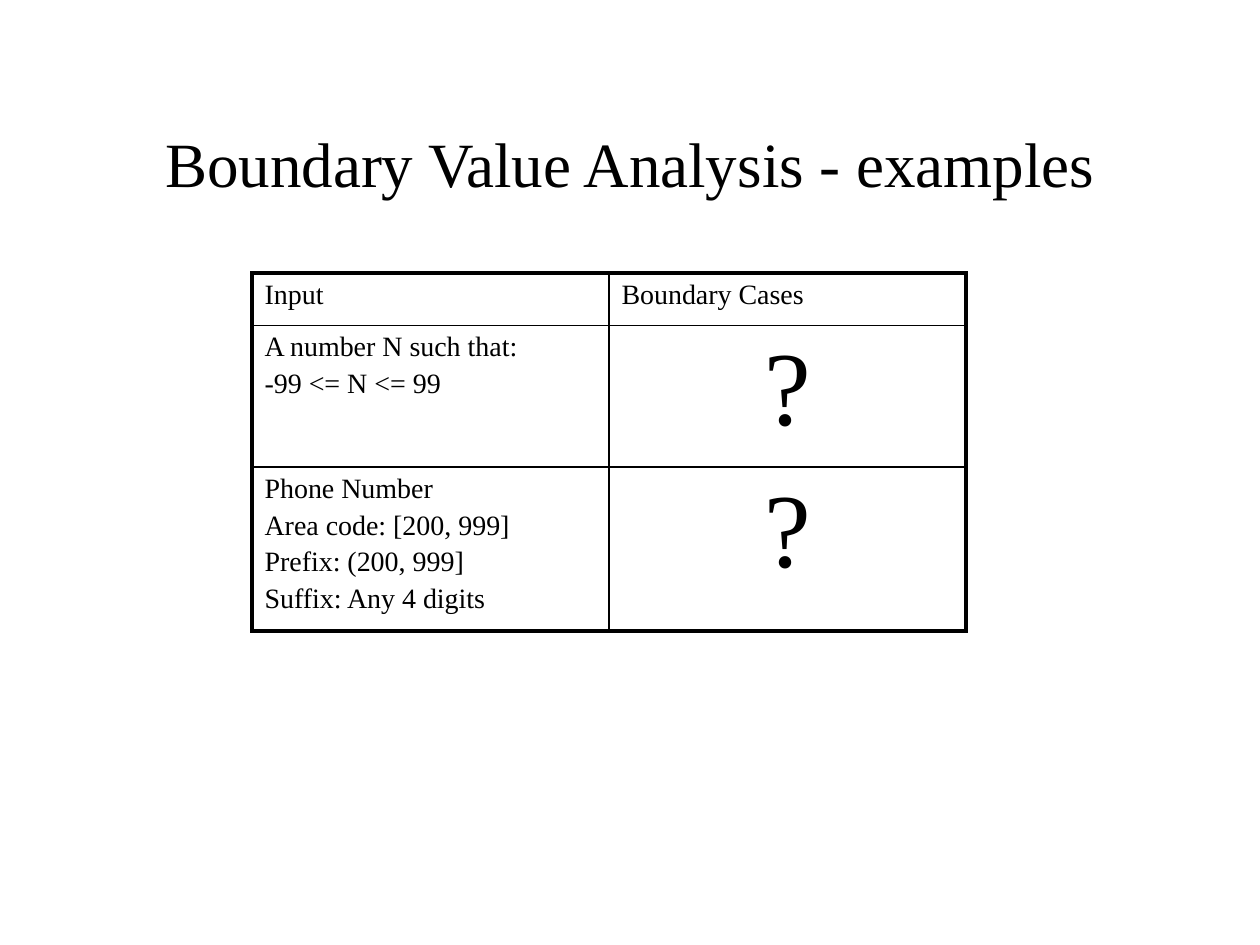
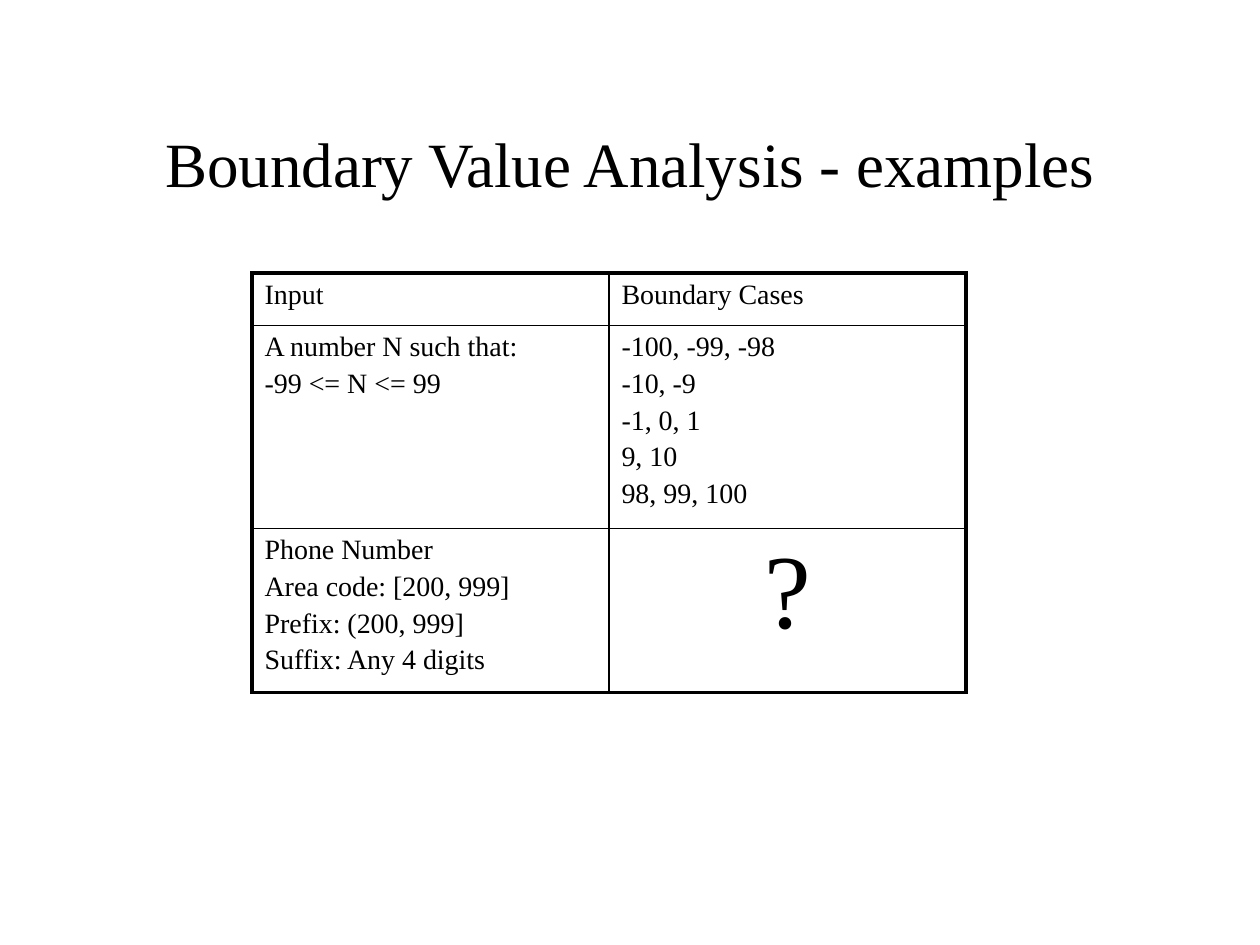
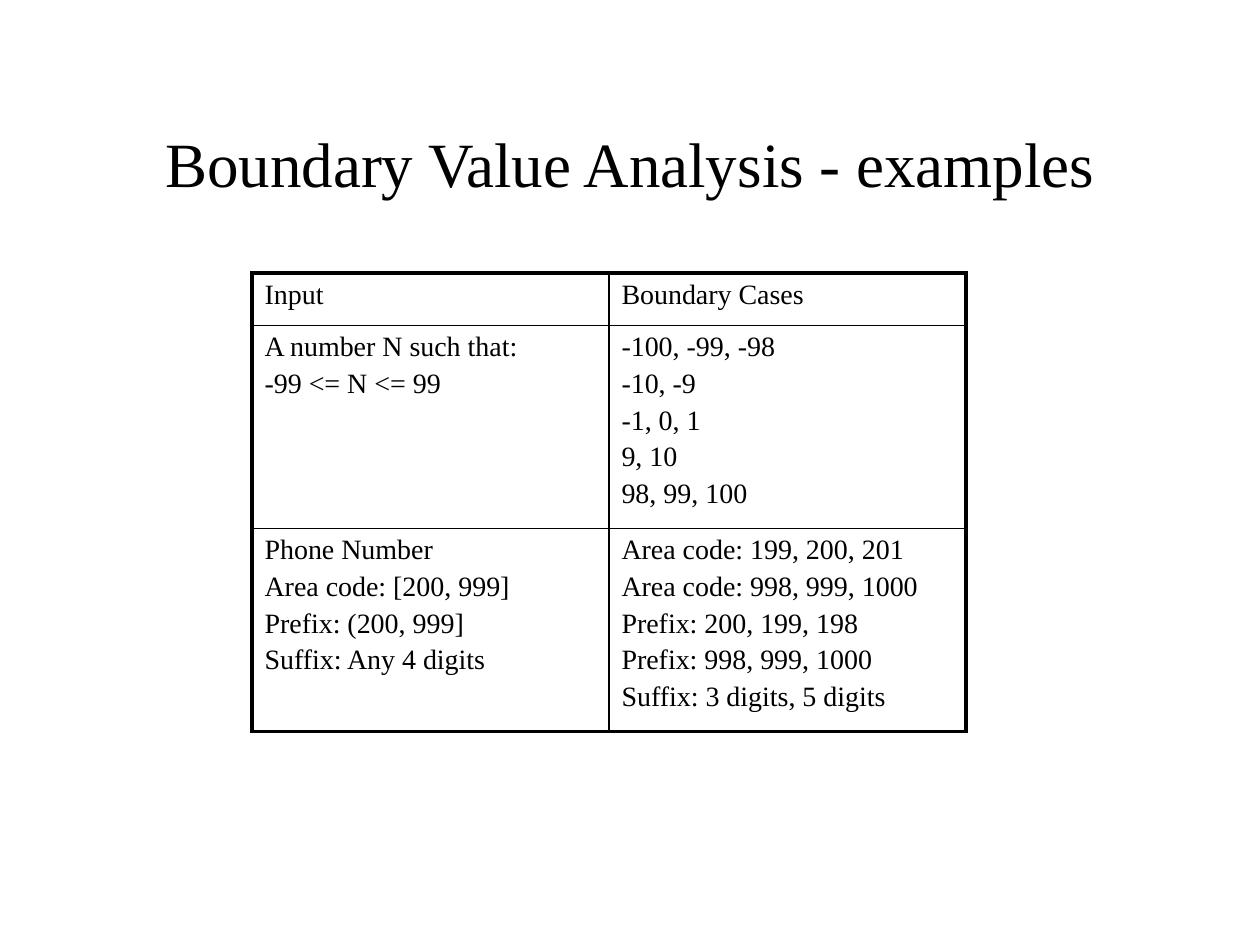
from lxml import etree
from pptx import Presentation
from pptx import util as u
from pptx.dml.color import RGBColor
from pptx.enum import text
from pptx.oxml.ns import qn

TITLE = "Boundary Value Analysis - examples"
HEADER = ["Input", "Boundary Cases"]
INPUTS = [
    ["A number N such that:", "-99 <= N <= 99"],
    ["Phone Number", "Area code: [200, 999]", "Prefix: (200, 999]", "Suffix: Any 4 digits"],
]
NUMBER_CASES = ["-100, -99, -98", "-10, -9", "-1, 0, 1", "9, 10", "98, 99, 100"]
PHONE_CASES = [
    "Area code: 199, 200, 201",
    "Area code: 998, 999, 1000",
    "Prefix: 200, 199, 198",
    "Prefix: 998, 999, 1000",
    "Suffix: 3 digits, 5 digits",
]
UNKNOWN = ["?"]
# The cases revealed on each slide, one entry per input
SLIDES = [
    [UNKNOWN, UNKNOWN],
    [NUMBER_CASES, UNKNOWN],
    [NUMBER_CASES, PHONE_CASES],
]

COLORS = {"ink": "000000", "paper": "FFFFFF"}
FONT = "Times New Roman"
SLIDE_SIZE = (720, 540)
TITLE_BOX = (54, 48, 612, 90)
TABLE_LEFT, TABLE_TOP = 144, 156
COLUMN_WIDTH = 204
ROW_HEIGHTS = [30, 81, 81]
OUTER_LINE, INNER_LINE = 2.25, 1


def write(frame, lines, size=16, align=text.PP_ALIGN.LEFT, space_percent=0):
    """Write one paragraph per line, with space before as a percentage."""
    for index, line in enumerate(lines):
        paragraph = frame.add_paragraph() if index else frame.paragraphs[0]
        paragraph.alignment = align
        if space_percent:
            spacing = etree.SubElement(paragraph._p.get_or_add_pPr(), qn("a:spcBef"))
            etree.SubElement(spacing, qn("a:spcPct"), val=str(space_percent * 1000))
        run = paragraph.add_run()
        run.text = line
        run.font.size = u.Pt(size)
        run.font.name = FONT
        run.font.color.rgb = RGBColor.from_string(COLORS["ink"])


def set_borders(cell, widths):
    """Draw the left, right, top and bottom borders of a cell."""
    properties = cell._tc.get_or_add_tcPr()
    for index, (side, width) in enumerate(zip("LRTB", widths)):
        line = etree.Element(qn(f"a:ln{side}"), w=str(u.Pt(width)))
        fill = etree.SubElement(line, qn("a:solidFill"))
        etree.SubElement(fill, qn("a:srgbClr"), val=COLORS["ink"])
        properties.insert(index, line)


def add_title(slide):
    """Add the centred slide title."""
    frame = slide.shapes.add_textbox(*map(u.Pt, TITLE_BOX)).text_frame
    frame.word_wrap = True
    frame.vertical_anchor = text.MSO_ANCHOR.MIDDLE
    write(frame, [TITLE], size=36, align=text.PP_ALIGN.CENTER)


def add_case_table(slide, cases):
    """Add the table that pairs each input with its boundary cases."""
    rows = [[[label] for label in HEADER], *zip(INPUTS, cases)]
    last_row, last_column = len(rows) - 1, len(HEADER) - 1
    table = slide.shapes.add_table(
        len(rows), len(HEADER), u.Pt(TABLE_LEFT), u.Pt(TABLE_TOP),
        u.Pt(COLUMN_WIDTH * len(HEADER)), u.Pt(sum(ROW_HEIGHTS))).table
    table.first_row = table.horz_banding = False
    for row, height in zip(table.rows, ROW_HEIGHTS):
        row.height = u.Pt(height)
    for row_index, row in enumerate(rows):
        for column_index, lines in enumerate(row):
            cell = table.cell(row_index, column_index)
            cell.fill.background()
            at_edge = (column_index == 0, column_index == last_column,
                       row_index == 0, row_index == last_row)
            set_borders(cell, [OUTER_LINE if edge else INNER_LINE for edge in at_edge])
            if lines is UNKNOWN:
                write(cell.text_frame, lines, size=60, align=text.PP_ALIGN.CENTER)
            else:
                write(cell.text_frame, lines, space_percent=20)


presentation = Presentation()
presentation.slide_width, presentation.slide_height = map(u.Pt, SLIDE_SIZE)
for cases in SLIDES:
    slide = presentation.slides.add_slide(presentation.slide_layouts[6])
    slide.background.fill.solid()
    slide.background.fill.fore_color.rgb = RGBColor.from_string(COLORS["paper"])
    add_title(slide)
    add_case_table(slide, cases)
presentation.save("out.pptx")
